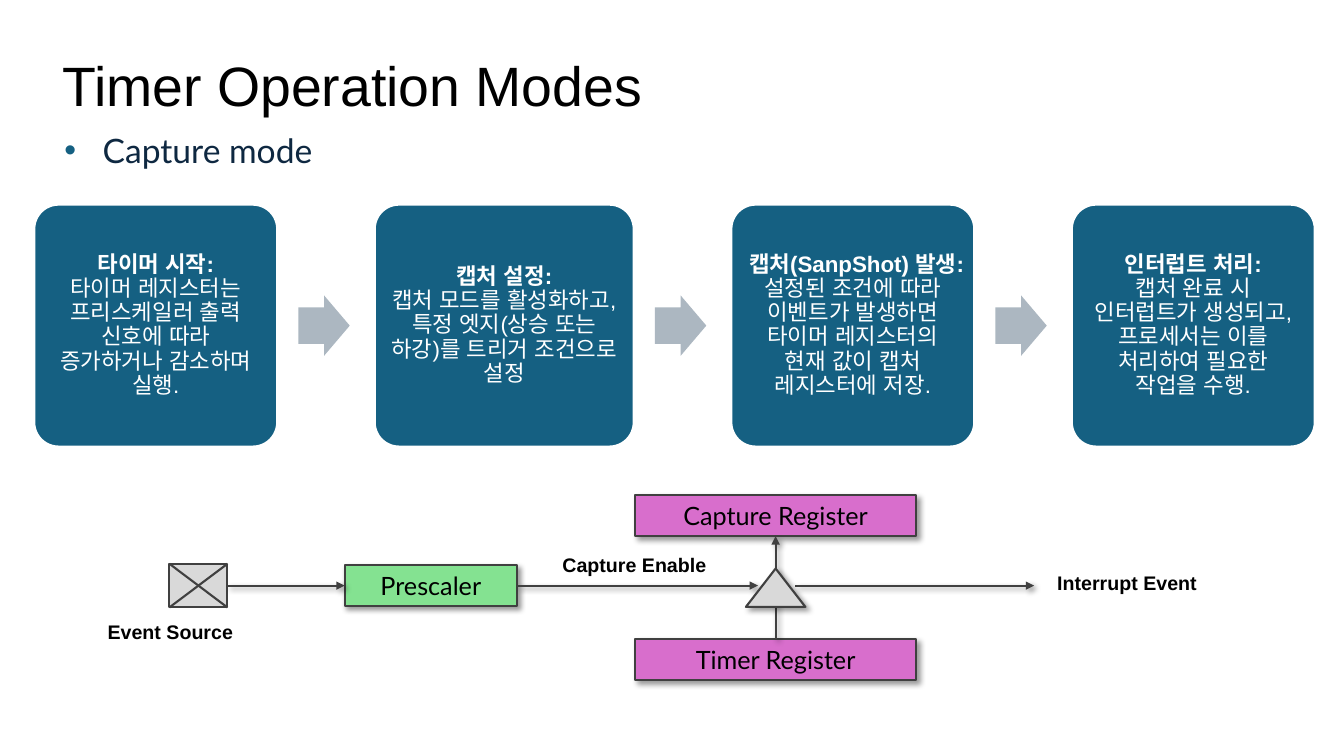
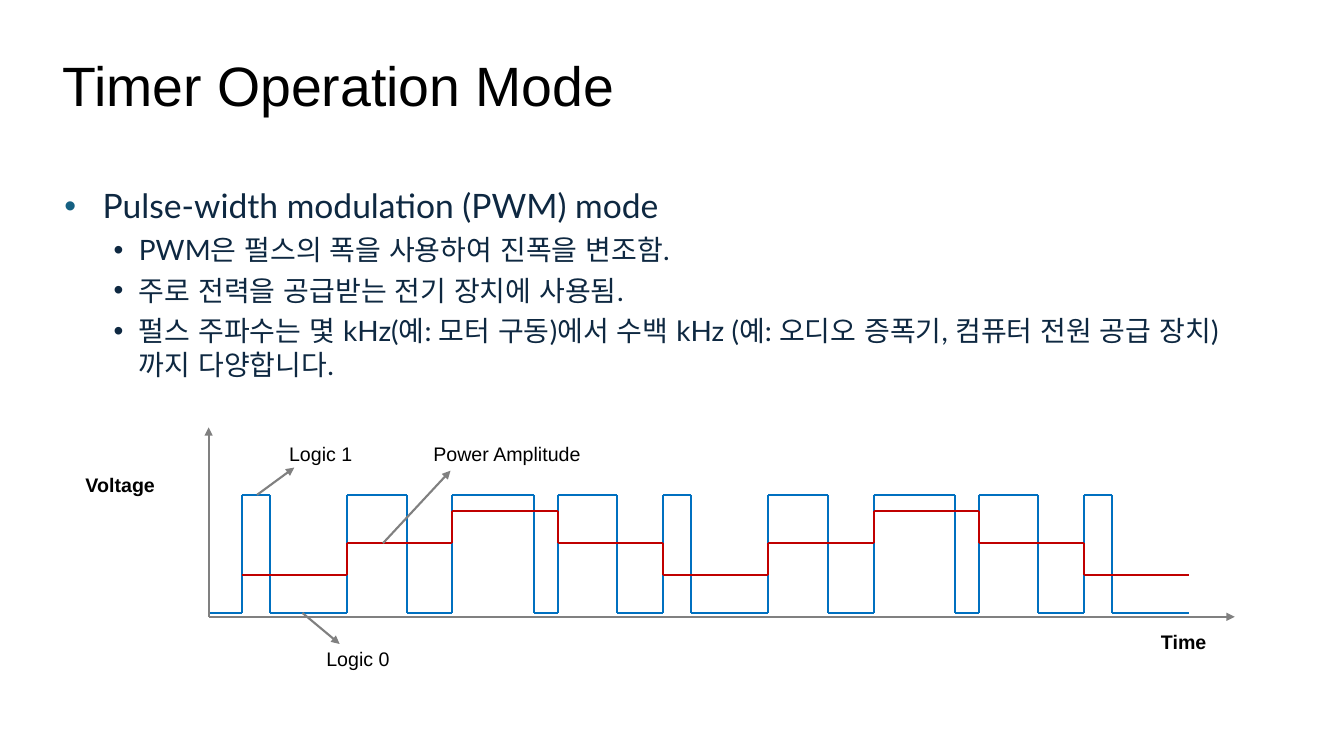
from dataclasses import dataclass
from itertools import pairwise
from typing import Any, NamedTuple

from lxml import etree
from pptx import Presentation
from pptx import util as u
from pptx.dml.color import RGBColor
from pptx.enum import lang, shapes, text
from pptx.oxml.ns import qn

Pt = u.Pt
COLORS = {
    "black": "000000", "white": "FFFFFF", "navy": "0E2841", "teal": "156082",
    "arrow": "ACB7C1", "outline": "404040", "silver": "D9D9D9", "pink": "D86ECC",
    "green": "84E291", "axis": "808080", "pulse": "0070C0", "power": "C00000",
}
CENTER = text.PP_ALIGN.CENTER
MIDDLE = text.MSO_ANCHOR.MIDDLE
KIND = shapes.MSO_SHAPE
TITLE_AREA = (37.4, 37.4, 884.2, 51.8)
TITLE_STYLE = {"size": Pt(39.6), "name": "Arial"}
CARD_STYLE = {"size": Pt(16), "name": "Arial"}
BLOCK_STYLE = {"size": Pt(18), "name": "Lato"}
LABEL_STYLE = {"size": Pt(14), "name": "Arial"}


class Area(NamedTuple):
    left: float
    top: float
    width: float
    height: float


class Point(NamedTuple):
    x: float
    y: float


@dataclass
class Level:
    margin: float
    indent: float
    before: float
    size: float
    bullet: str


@dataclass
class Card:
    heading: str
    detail: str
    width: float = 173.5


@dataclass
class Label:
    words: str
    area: Area
    bold: bool = True
    centered: bool = False


class Pulse(NamedTuple):
    width: float
    power_y: float


LEVELS = [Level(27.4, -27.4, 6, 24, "teal"), Level(53.3, -18, 5, 20, "navy")]


def color(name: str) -> RGBColor:
    return RGBColor.from_string(COLORS[name])


def assign(target: Any, values: dict) -> None:
    for name, value in values.items():
        setattr(target, name, value)


def add_span(para, words: str, style: dict, ink: str = "black"):
    span = para.add_run()
    span.text = words
    assign(span.font, style | {"language_id": lang.MSO_LANGUAGE_ID.KOREAN})
    span.font.color.rgb = color(ink)


def set_effects(item, shadow: bool) -> None:
    """Replace the theme shadow by a soft drop shadow or by none."""
    properties = item._element.spPr
    effects = properties.find(qn("a:effectLst"))
    if effects is None:
        effects = etree.SubElement(properties, qn("a:effectLst"))
    if shadow:
        outer = etree.SubElement(effects, qn("a:outerShdw"), blurRad=str(Pt(4)),
                                 dist=str(Pt(3)), dir="2700000", algn="tl", rotWithShape="0")
        ink = etree.SubElement(outer, qn("a:srgbClr"), val=COLORS["black"])
        etree.SubElement(ink, qn("a:alpha"), val="40000")


def add_box(page, kind, area: Area, fill: str, outline: str | None = None,
            shadow: bool = False, adjust: tuple = ()):
    box = page.shapes.add_shape(kind, *map(Pt, area))
    box.fill.solid()
    box.fill.fore_color.rgb = color(fill)
    if outline:
        box.line.color.rgb = color(outline)
        box.line.width = Pt(1.5)
    else:
        box.line.fill.background()
    for index, value in enumerate(adjust):
        box.adjustments[index] = value
    box.shadow.inherit = False
    set_effects(box, shadow)
    return box


def add_line(page, start: Point, end: Point, ink: str, arrow: bool = False,
             shadow: bool = False):
    line = page.shapes.add_connector(shapes.MSO_CONNECTOR.STRAIGHT, *map(Pt, start + end))
    line.line.color.rgb = color(ink)
    line.line.width = Pt(1.5)
    if arrow:
        etree.SubElement(line._element.spPr.find(qn("a:ln")), qn("a:tailEnd"), type="triangle")
    set_effects(line, shadow)
    return line


def add_text_box(page, area: Area | tuple):
    box = page.shapes.add_textbox(*map(Pt, area))
    box.text_frame.word_wrap = True
    return box.text_frame


def add_label(page, label: Label) -> None:
    frame = add_text_box(page, label.area)
    frame.auto_size = text.MSO_AUTO_SIZE.SHAPE_TO_FIT_TEXT
    para = frame.paragraphs[0]
    if label.centered:
        para.alignment = CENTER
    add_span(para, label.words, LABEL_STYLE | {"bold": label.bold})


def add_block(page, words: str, area: Area, fill: str):
    box = add_box(page, KIND.RECTANGLE, area, fill, "outline", shadow=True)
    assign(box.text_frame, {"word_wrap": False, "vertical_anchor": MIDDLE})
    para = box.text_frame.paragraphs[0]
    para.alignment = CENTER
    add_span(para, words, BLOCK_STYLE)
    return box


def add_bullets(page, area: Area, items: list[tuple[int, str]]) -> None:
    frame = add_text_box(page, area)
    for index, (depth, words) in enumerate(items):
        para = frame.add_paragraph() if index else frame.paragraphs[0]
        level = LEVELS[depth]
        assign(para, {"level": depth, "space_before": Pt(level.before)})
        properties = para._p.get_or_add_pPr()
        properties.set("marL", str(Pt(level.margin)))
        properties.set("indent", str(Pt(level.indent)))
        ink = etree.SubElement(properties, qn("a:buClr"))
        etree.SubElement(ink, qn("a:srgbClr"), val=COLORS[level.bullet])
        etree.SubElement(properties, qn("a:buFont"), typeface="Arial")
        etree.SubElement(properties, qn("a:buChar"), char="•")
        add_span(para, words, {"size": Pt(level.size), "name": "Lato"}, "navy")


def add_page(deck, title: str):
    page = deck.slides.add_slide(deck.slide_layouts[6])
    frame = add_text_box(page, TITLE_AREA)
    frame.vertical_anchor = MIDDLE
    para = frame.paragraphs[0]
    para.line_spacing = 0.9
    add_span(para, title, TITLE_STYLE)
    return page


def add_cards(page, cards: list[Card]) -> None:
    left, top, height, gap = 24.5, 146.2, 172.8, 69.7
    arrow_width, arrow_height = 36.7, 43.2
    for index, card in enumerate(cards):
        if index:
            area = Area(left - gap + 15.1, top + (height - arrow_height) / 2,
                        arrow_width, arrow_height)
            add_box(page, KIND.RIGHT_ARROW, area, "arrow", adjust=(0.6, 0.5))
        box = add_box(page, KIND.ROUNDED_RECTANGLE, Area(left, top, card.width, height),
                      "teal", "white", adjust=(0.1,))
        frame = box.text_frame
        sides = ("left", "top", "right", "bottom")
        assign(frame, {f"margin_{side}": Pt(5) for side in sides})
        assign(frame, {"word_wrap": True, "vertical_anchor": MIDDLE})
        paras = (frame.paragraphs[0], frame.add_paragraph())
        for para, words, bold in zip(paras, (card.heading, card.detail), (True, False)):
            assign(para, {"alignment": CENTER, "line_spacing": 0.9})
            add_span(para, words, CARD_STYLE | {"bold": bold}, "white")
        left += card.width + gap


def add_capture_diagram(page) -> None:
    axis_y = 418.3
    # Registers and prescaler
    timer = add_block(page, "Timer Register", Area(453.6, 456.5, 200.9, 29.5), "pink")
    capture = add_block(page, "Capture Register", Area(453.6, 353.5, 200.9, 29.5), "pink")
    prescaler = add_block(page, "Prescaler", Area(246.2, axis_y - 14.75, 123.1, 29.5), "green")
    # Crossed box of the event source
    area = Area(121, axis_y - 15.6, 41.5, 31.2)
    source = add_box(page, KIND.RECTANGLE, area, "silver", "outline")
    right, bottom = area.left + area.width, area.top + area.height
    add_line(page, Point(area.left, area.top), Point(right, bottom), "outline")
    add_line(page, Point(right, area.top), Point(area.left, bottom), "outline")
    # Signal arrows, joined to their blocks
    routes = [
        (Point(162.5, axis_y), Point(246.2, axis_y), (source, 3), (prescaler, 1)),
        (Point(554, 456.5), Point(554, 383), (timer, 0), (capture, 2)),
        (Point(369.3, axis_y), Point(541.4, axis_y), (prescaler, 3), None),
        (Point(568.1, axis_y), Point(738.7, axis_y), None, None),
    ]
    for start, end, origin, target in routes:
        line = add_line(page, start, end, "outline", arrow=True, shadow=True)
        if origin:
            line.begin_connect(*origin)
        if target:
            line.end_connect(*target)
    add_box(page, KIND.ISOSCELES_TRIANGLE, Area(532.8, 406.1, 42.5, 27.4),
            "silver", "outline", shadow=True)
    for label in (
        Label("Interrupt Event", Area(748.1, 404.6, 162.7, 24.5)),
        Label("Event Source", Area(69.8, 439.2, 144, 24.5)),
        Label("Capture Enable", Area(371.5, 391.7, 163.4, 24.5), centered=True),
    ):
        add_label(page, label)


def add_pwm_diagram(page) -> None:
    origin, first_rise, period = Point(149, 440.6), 172.8, 75.2
    low_y, high_y = 437.8, 353.5
    narrow, medium, wide = Pulse(20.2, 410.4), Pulse(42.5, 388), Pulse(58.3, 365)
    pulses = [narrow, medium, wide, medium] * 2 + [narrow]
    # Corner points of both traces
    voltage, power = [Point(origin.x, low_y)], []
    for index, pulse in enumerate(pulses):
        rise = first_rise + index * period
        fall, end = rise + pulse.width, rise + period
        voltage += [Point(rise, low_y), Point(rise, high_y), Point(fall, high_y),
                    Point(fall, low_y)]
        power += [Point(rise, pulse.power_y), Point(end, pulse.power_y)]
    voltage.append(Point(first_rise + len(pulses) * period, low_y))
    for trace, ink in ((voltage, "pulse"), (power, "power")):
        for start, end in pairwise(trace):
            add_line(page, start, end, ink)
    # Axes and pointers
    for start, end in (
        (origin, Point(882, origin.y)),
        (origin, Point(origin.x, 305.3)),
        (Point(183.6, high_y), Point(210.2, 334)),
        (Point(216, low_y), Point(242.6, 460)),
        (Point(273.6, 388), Point(321.8, 336.2)),
    ):
        add_line(page, start, end, "axis", arrow=True)
    for label in (
        Label("Voltage", Area(54, 334, 95.8, 24.5)),
        Label("Time", Area(822.2, 446.4, 69.8, 24.5)),
        Label("Logic 1", Area(199.4, 311.8, 95.8, 24.5), bold=False),
        Label("Logic 0", Area(226, 458.6, 95.8, 24.5), bold=False),
        Label("Power Amplitude", Area(302.4, 311.8, 170, 24.5), bold=False),
    ):
        add_label(page, label)


def main() -> None:
    deck = Presentation()
    assign(deck, {"slide_width": Pt(960), "slide_height": Pt(540)})

    # Capture mode
    page = add_page(deck, "Timer Operation Modes")
    add_bullets(page, Area(38.9, 89.3, 880.6, 321.8), [(0, "Capture mode")])
    add_cards(page, [
        Card("타이머 시작:", "타이머 레지스터는 프리스케일러 출력 신호에 따라 증가하거나 감소하며 실행."),
        Card("캡처 설정:", "캡처 모드를 활성화하고, 특정 엣지(상승 또는 하강)를 트리거 조건으로 설정", 185),
        Card("캡처(SanpShot) 발생:",
             "설정된 조건에 따라 이벤트가 발생하면 타이머 레지스터의 현재 값이 캡처 레지스터에 저장."),
        Card("인터럽트 처리:", "캡처 완료 시 인터럽트가 생성되고, 프로세서는 이를 처리하여 필요한 작업을 수행."),
    ])
    add_capture_diagram(page)

    # Pulse-width modulation
    page = add_page(deck, "Timer Operation Mode")
    add_bullets(page, Area(38.9, 128.9, 869, 321.8), [
        (0, "Pulse-width modulation (PWM) mode"),
        (1, "PWM은 펄스의 폭을 사용하여 진폭을 변조함."),
        (1, "주로 전력을 공급받는 전기 장치에 사용됨."),
        (1, "펄스 주파수는 몇 kHz(예: 모터 구동)에서 수백 kHz (예: 오디오 증폭기, "
            "컴퓨터 전원 공급 장치)까지 다양합니다."),
    ])
    add_pwm_diagram(page)
    deck.save("out.pptx")


if __name__ == "__main__":
    main()
